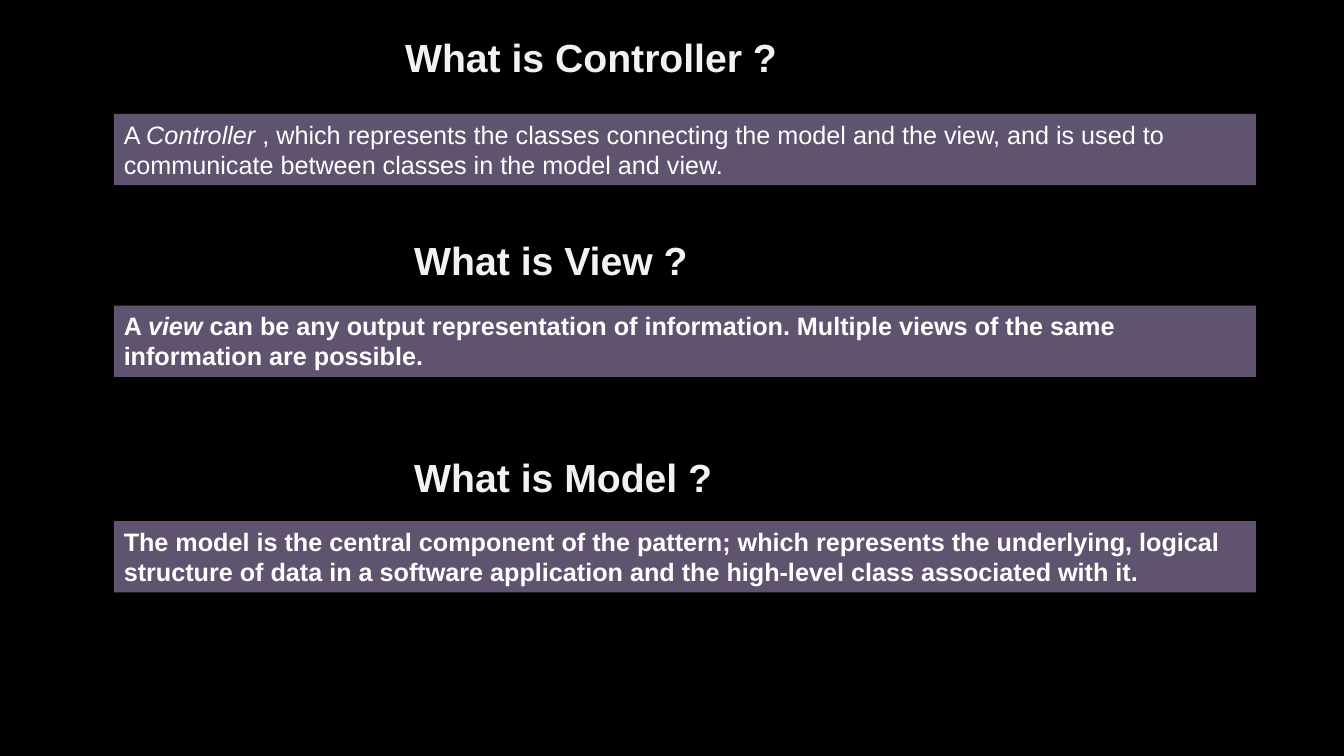
from dataclasses import dataclass

from lxml.etree import SubElement
from pptx import Presentation
from pptx.dml.color import RGBColor
from pptx.enum.shapes import MSO_SHAPE
from pptx.enum.text import MSO_ANCHOR, MSO_AUTO_SIZE, PP_ALIGN
from pptx.oxml.ns import qn
from pptx.shapes.autoshape import Shape
from pptx.slide import Slide
from pptx.util import Cm, Pt

COLOURS = {"page": "000000", "band": "C1A6DF", "title": "F2F2F2", "body": "FFFFFF"}
FONT = "Arial"
BAND_LEFT, BAND_WIDTH, BAND_HEIGHT = 2.87, 28.78, 1.8
TITLE_HEIGHT = 1.45
BAND_OPACITY = 50


@dataclass(frozen=True)
class Span:
    text: str
    italic: bool = False


@dataclass(frozen=True)
class Section:
    title: str
    title_left: float
    title_top: float
    title_width: float
    band_top: float
    body: tuple[Span, ...]
    bold_body: bool = True


SECTIONS = (
    Section("What is Controller ?", 9.96, 0.71, 14.6, 2.87, (
        Span("A "),
        Span("Controller", italic=True),
        Span(" , which represents the classes connecting the model and the view, "
             "and is used to communicate between classes in the model and view."),
    ), bold_body=False),
    Section("What is View ?", 10.19, 5.84, 14.48, 7.7, (
        Span("A "),
        Span("view", italic=True),
        Span(" can be any output representation of information. "
             "Multiple views of the same information are possible."),
    )),
    Section("What is Model ?", 10.19, 11.3, 12.24, 13.13, (
        Span("The model is the central component of the pattern; which represents "
             "the underlying, logical structure of data in a software application "
             "and the high-level class associated with it."),
    )),
)


def write_text(box: Shape, spans: tuple[Span, ...], *, size: int, colour: str, bold: bool) -> None:
    frame = box.text_frame
    frame.word_wrap = True
    frame.auto_size = MSO_AUTO_SIZE.SHAPE_TO_FIT_TEXT
    frame.vertical_anchor = MSO_ANCHOR.TOP
    para = frame.paragraphs[0]
    para.alignment = PP_ALIGN.LEFT
    for span in spans:
        run = para.add_run()
        run.text = span.text
        run.font.name = FONT
        run.font.size = Pt(size)
        run.font.bold = bold
        run.font.italic = span.italic
        run.font.color.rgb = RGBColor.from_string(COLOURS[colour])


def add_title(page: Slide, section: Section) -> None:
    box = page.shapes.add_textbox(
        Cm(section.title_left), Cm(section.title_top), Cm(section.title_width), Cm(TITLE_HEIGHT))
    write_text(box, (Span(section.title),), size=28, colour="title", bold=True)


def add_band(page: Slide, section: Section) -> None:
    band = page.shapes.add_shape(
        MSO_SHAPE.RECTANGLE, Cm(BAND_LEFT), Cm(section.band_top), Cm(BAND_WIDTH), Cm(BAND_HEIGHT))
    band.shadow.inherit = False
    band.line.fill.background()
    band.fill.solid()
    band.fill.fore_color.rgb = RGBColor.from_string(COLOURS["band"])
    colour = band.fill._xPr.find(qn("a:solidFill"))[0]
    SubElement(colour, qn("a:alpha"), val=str(BAND_OPACITY * 1000))
    write_text(band, section.body, size=18, colour="body", bold=section.bold_body)


def main() -> None:
    deck = Presentation()
    deck.slide_width, deck.slide_height = Cm(33.87), Cm(19.05)
    page = deck.slides.add_slide(deck.slide_layouts[6])
    page.background.fill.solid()
    page.background.fill.fore_color.rgb = RGBColor.from_string(COLOURS["page"])
    for section in SECTIONS:
        add_title(page, section)
        add_band(page, section)
    deck.save("out.pptx")


if __name__ == "__main__":
    main()
